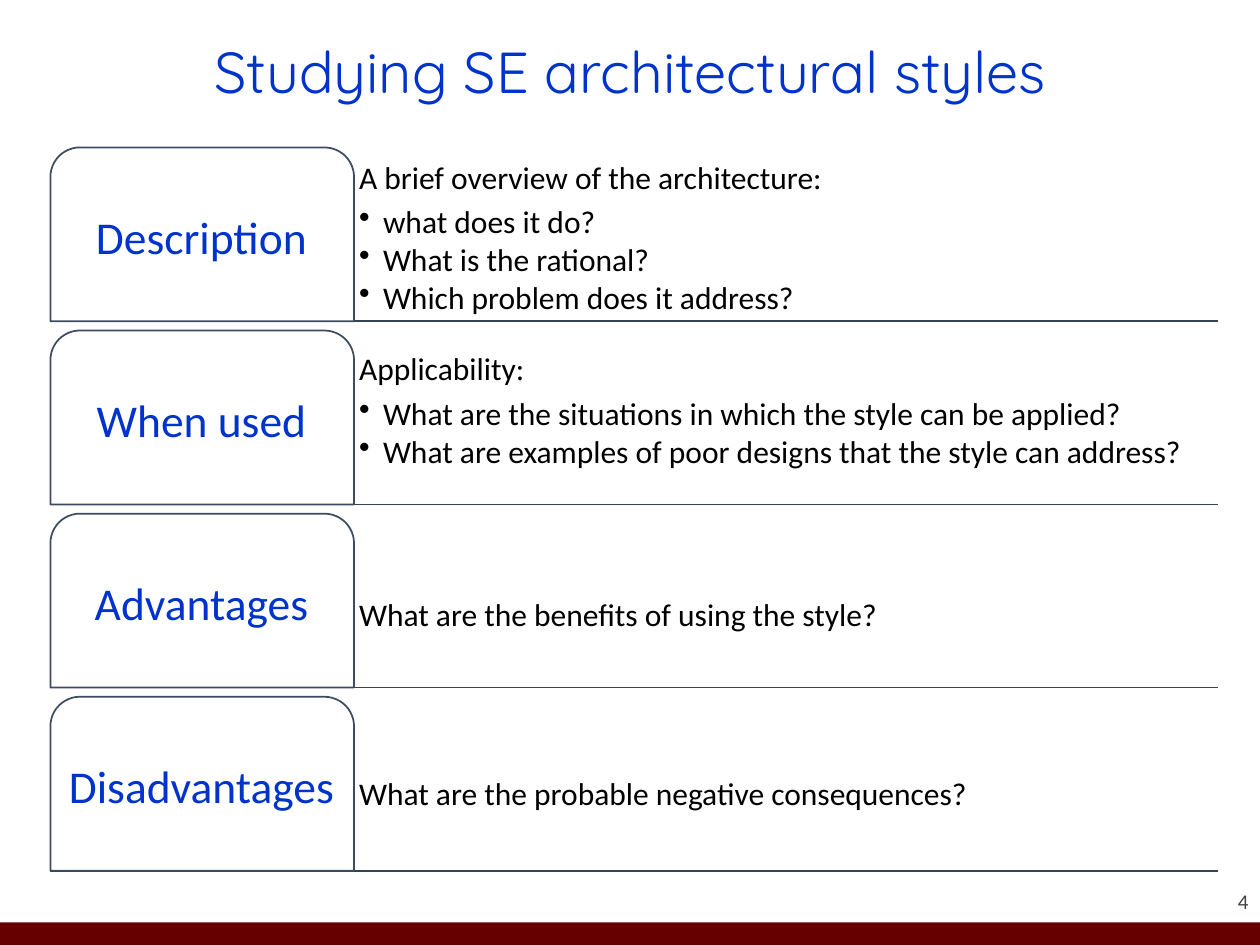
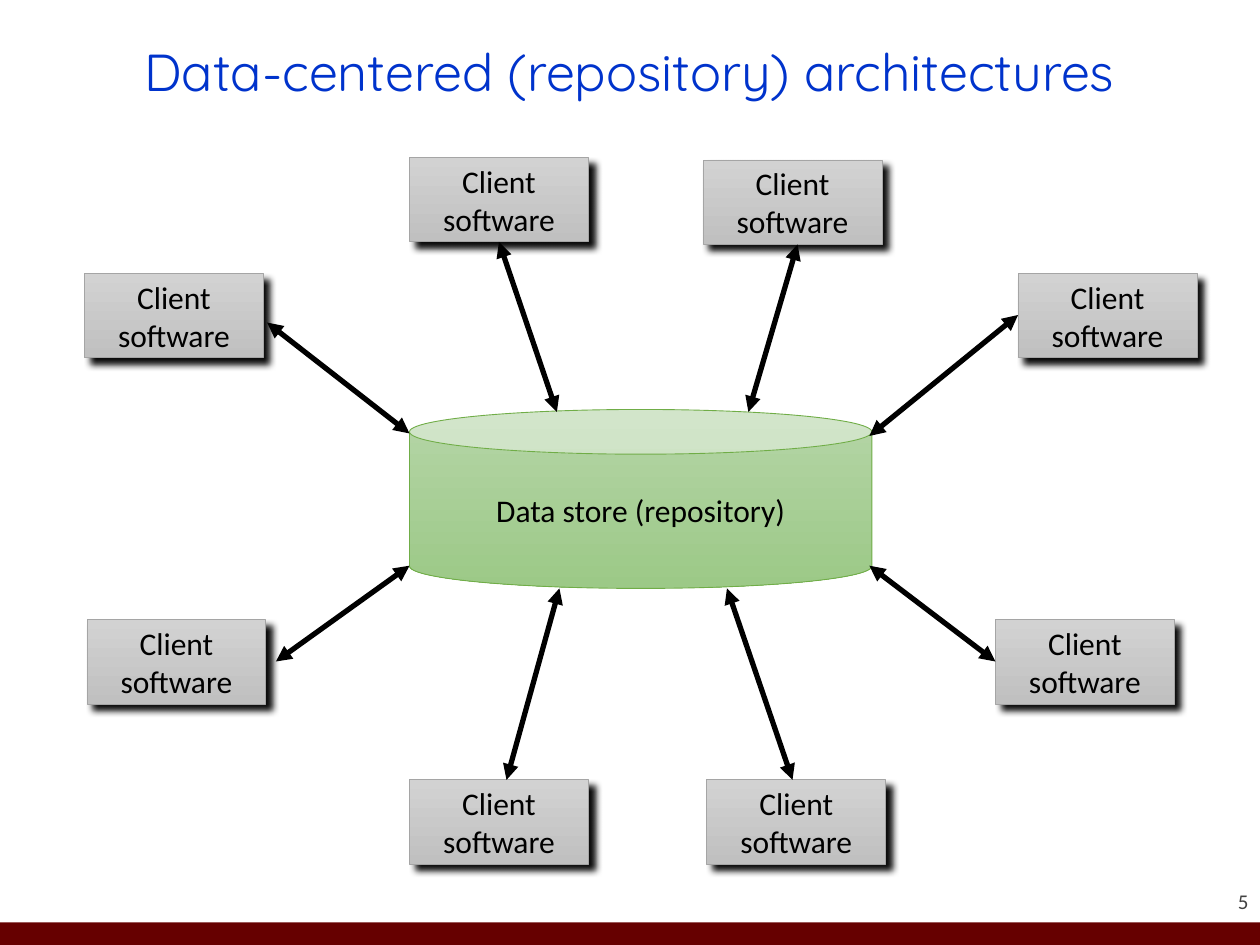
from lxml import etree
from pptx import Presentation
from pptx.dml.color import RGBColor
from pptx.enum.shapes import MSO_CONNECTOR, MSO_SHAPE
from pptx.enum.text import MSO_ANCHOR, PP_ALIGN
from pptx.oxml.ns import qn
from pptx.util import Inches, Pt

COLORS = {
    "band": "660000", "title": "0033CC", "number": "424242", "text": "000000",
    "white": "FFFFFF", "rule": "364355", "tab_line": "3E4C60",
    "store_top": "B5D5A7", "store_bottom": "9CC987", "store_line": "70AD47",
    "client_top": "D2D2D2", "client_bottom": "C0C0C0", "client_line": "A5A5A5",
    "shadow": "0D0D0D",
}
COLORS_RGB = {name: RGBColor.from_string(value) for name, value in COLORS.items()}


def write_text(shape, lines, size, color="text", font="Calibri", align=PP_ALIGN.CENTER,
               anchor=MSO_ANCHOR.MIDDLE, inset=None, spacing=None):
    frame = shape.text_frame
    frame.word_wrap = True
    frame.vertical_anchor = anchor
    if inset is not None:
        frame.margin_left = frame.margin_right = Inches(inset)
        frame.margin_top = frame.margin_bottom = Inches(inset)
    frame.text = "\n".join(lines)
    for paragraph in frame.paragraphs:
        paragraph.alignment = align
        paragraph.line_spacing = spacing
        paragraph.font.size = Pt(size)
        paragraph.font.name = font
        paragraph.font.color.rgb = COLORS_RGB[color]
    return frame.paragraphs


def add_line(slide, start, end, color, width):
    line = slide.shapes.add_connector(
        MSO_CONNECTOR.STRAIGHT, *[Inches(value) for value in (*start, *end)])
    line.line.color.rgb = COLORS_RGB[color]
    line.line.width = Pt(width)
    etree.SubElement(line._element.spPr, qn("a:effectLst"))
    return line


presentation = Presentation()
presentation.slide_width = Inches(10)
presentation.slide_height = Inches(7.5)

titles = [
    ("Studying SE architectural styles", 33),
    ("Data-centered (repository) architectures", 29.7),
]
slides = []
for number, (title, size) in enumerate(titles, start=4):
    slide = presentation.slides.add_slide(presentation.slide_layouts[6])
    slides.append(slide)
    band = slide.shapes.add_shape(
        MSO_SHAPE.RECTANGLE, 0, Inches(7.32), Inches(10), Inches(0.18))
    band.shadow.inherit = False
    band.fill.solid()
    band.fill.fore_color.rgb = COLORS_RGB["band"]
    band.line.fill.background()
    number_box = slide.shapes.add_textbox(Inches(9.08), Inches(6.85), Inches(0.83), Inches(0.4))
    write_text(number_box, [str(number)], 12, "number", align=PP_ALIGN.RIGHT,
               anchor=MSO_ANCHOR.BOTTOM, inset=0)
    title_box = slide.shapes.add_textbox(Inches(0.69), Inches(0.12), Inches(8.62), Inches(0.94))
    write_text(title_box, [title], size, "title", "Quicksand", spacing=0.9)

styles_slide, repository_slide = slides

TAB_LEFT, TAB_WIDTH, TAB_HEIGHT = 0.4, 2.41, 1.38
FIRST_RULE, LAST_RULE, RULE_RIGHT = 2.55, 6.91, 9.67
TEXT_LEFT = TAB_LEFT + TAB_WIDTH
sections = [
    ("Description", 1.17, 1.38, [
        "A brief overview of the architecture:",
        "what does it do?",
        "What is the rational?",
        "Which problem does it address?"]),
    ("When used", 2.66, 1.11, [
        "Applicability:",
        "What are the situations in which the style can be applied?",
        "What are examples of poor designs that the style can address?"]),
    ("Advantages", 4.42, 0.65, ["What are the benefits of using the style?"]),
    ("Disadvantages", 5.92, 0.57, ["What are the probable negative consequences?"]),
]
row_pitch = (LAST_RULE - FIRST_RULE) / (len(sections) - 1)
for row, (label, text_top, text_height, lines) in enumerate(sections):
    rule_y = FIRST_RULE + row * row_pitch
    tab_top = rule_y - TAB_HEIGHT
    add_line(styles_slide, (TAB_LEFT, rule_y), (RULE_RIGHT, rule_y), "rule", 1)

    text_box = styles_slide.shapes.add_textbox(
        Inches(TEXT_LEFT), Inches(text_top), Inches(RULE_RIGHT - TEXT_LEFT), Inches(text_height))
    heading, *bullets = write_text(text_box, lines, 18, align=PP_ALIGN.LEFT,
                                   anchor=MSO_ANCHOR.BOTTOM, inset=0.04, spacing=0.9)
    if bullets:
        heading.space_after = Pt(6)
    for paragraph in bullets:
        paragraph.level = 1
        if paragraph is not bullets[-1]:
            paragraph.space_after = Pt(2.2)
        properties = paragraph._p.get_or_add_pPr()
        properties.set("marL", str(Inches(0.19)))
        properties.set("indent", str(-Inches(0.19)))
        bullet = etree.Element(qn("a:buChar"), char="•")
        properties.find(qn("a:defRPr")).addprevious(bullet)

    tab = styles_slide.shapes.add_shape(
        MSO_SHAPE.ROUND_2_SAME_RECTANGLE, Inches(TAB_LEFT), Inches(tab_top),
        Inches(TAB_WIDTH), Inches(TAB_HEIGHT))
    tab.adjustments[0] = 0.17
    tab.shadow.inherit = False
    tab.fill.solid()
    tab.fill.fore_color.rgb = COLORS_RGB["white"]
    tab.line.color.rgb = COLORS_RGB["tab_line"]
    tab.line.width = Pt(1)
    label_box = styles_slide.shapes.add_textbox(
        Inches(TAB_LEFT + 0.06), Inches(tab_top + 0.07), Inches(2.28), Inches(1.32))
    write_text(label_box, [label], 26, "title", inset=0.05, spacing=0.9)

client_positions = [
    (0.67, 2.17), (3.25, 1.25), (5.58, 1.27), (8.08, 2.17),
    (0.69, 4.92), (7.9, 4.92), (3.25, 6.19), (5.61, 6.19),
]
nodes = [("store", MSO_SHAPE.CAN, (3.25, 3.25, 3.67, 1.42), "Data store (repository)")]
nodes += [("client", MSO_SHAPE.FLOWCHART_PROCESS, (left, top, 1.42, 0.67), "Client software")
          for left, top in client_positions]
for kind, preset, bounds, label in nodes:
    node = repository_slide.shapes.add_shape(preset, *[Inches(value) for value in bounds])
    node.fill.gradient()
    node.fill.gradient_angle = 270
    for stop, end, position in zip(node.fill.gradient_stops, ("top", "bottom"), (0, 1)):
        stop.color.rgb = COLORS_RGB[f"{kind}_{end}"]
        stop.position = position
    node.line.color.rgb = COLORS_RGB[f"{kind}_line"]
    node.line.width = Pt(0.5)
    node.shadow.inherit = False
    if kind == "client":
        effects = node._element.spPr.find(qn("a:effectLst"))
        shadow = etree.SubElement(
            effects, qn("a:outerShdw"), blurRad=str(Pt(4)), dist=str(Pt(5)),
            dir=str(45 * 60000), algn="tl", rotWithShape="0")
        etree.SubElement(shadow, qn("a:srgbClr"), val=COLORS["shadow"])
    write_text(node, [label], 18)

arrows = [
    ((3.96, 1.92), (4.42, 3.27)), ((6.33, 1.94), (5.94, 3.27)),
    ((8.08, 2.5), (6.9, 3.46)), ((2.12, 2.56), (3.25, 3.44)),
    ((4.44, 4.67), (4.02, 6.19)), ((5.77, 4.67), (6.29, 6.19)),
    ((6.9, 4.49), (7.9, 5.25)), ((3.25, 4.49), (2.19, 5.25)),
]
for start, end in arrows:
    arrow = add_line(repository_slide, start, end, "text", 3)
    outline = arrow.line._get_or_add_ln()
    for tip in ("a:headEnd", "a:tailEnd"):
        etree.SubElement(outline, qn(tip), type="triangle")

presentation.save("out.pptx")
